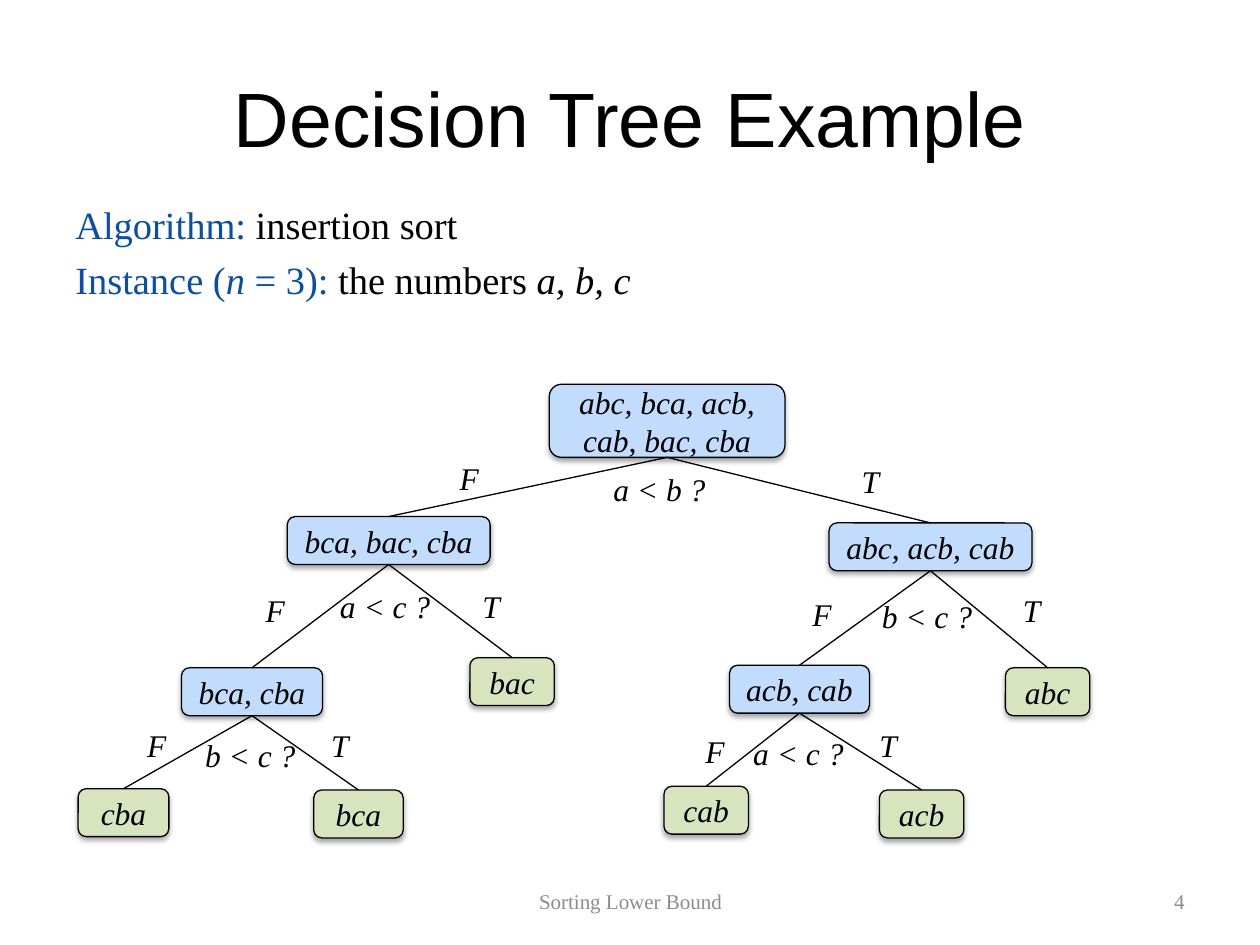
from dataclasses import dataclass
from lxml.etree import SubElement
from pptx import Presentation
from pptx.dml.color import RGBColor
from pptx.enum.shapes import MSO_CONNECTOR as Connector, MSO_SHAPE as Shape
from pptx.enum.text import MSO_ANCHOR as Anchor, MSO_AUTO_SIZE as AutoSize, PP_ALIGN as Align
from pptx.oxml.ns import qn
from pptx.util import Inches, Pt

BLACK, GREY, BLUE = "000000", "8C8C8C", "074FA8"
BRANCH_FILL, LEAF_FILL = "C1DCFD", "D7E4BD"
TOP, BOTTOM = 0, 2  # connection sites of a rounded rectangle


@dataclass
class Node:
    text: str
    at: tuple
    width: float
    height: float = 0.38
    question: tuple = None
    false_at: tuple = None
    true_at: tuple = None
    children: tuple = ()


def color(value):
    return RGBColor.from_string(value)


@dataclass
class TreePage:
    page: object
    font: str = "Times New Roman"
    size: int = 18
    line_width: float = 0.75

    def style(self, paragraph, size=None, fill=BLACK, italic=False, font=None):
        paragraph.font.name = font or self.font
        paragraph.font.size = Pt(size or self.size)
        paragraph.font.color.rgb = color(fill)
        paragraph.font.italic = italic

    def heading(self, text, left, top, width, height, align, **style):
        box = self.page.shapes.add_textbox(*map(Inches, (left, top, width, height)))
        frame = box.text_frame
        frame.word_wrap = True
        frame.vertical_anchor = Anchor.MIDDLE
        para = frame.paragraphs[0]
        para.text, para.alignment = text, align
        self.style(para, **style)

    def label(self, text, at, width):
        box = self.page.shapes.add_textbox(*map(Inches, (*at, width, 0.4)))
        box.text_frame.word_wrap = False
        box.text_frame.auto_size = AutoSize.SHAPE_TO_FIT_TEXT
        para = box.text_frame.paragraphs[0]
        para.text = text
        self.style(para, italic=True)

    def facts(self, lines, left, top, width, height):
        """Write lines made of (text, colour, italic) spans."""
        box = self.page.shapes.add_textbox(*map(Inches, (left, top, width, height)))
        frame = box.text_frame
        frame.word_wrap = False
        for index, spans in enumerate(lines):
            para = frame.add_paragraph() if index else frame.paragraphs[0]
            if index:
                para.space_before = Pt(5)
            self.style(para, size=22)
            for text, fill, italic in spans:
                span = para.add_run()
                span.text = text
                span.font.color.rgb = color(fill)
                span.font.italic = italic

    def add_shadow(self, shape):
        shape.shadow.inherit = False
        effects = shape._element.spPr.find(qn("a:effectLst"))
        shadow = SubElement(effects, qn("a:outerShdw"), blurRad=str(Pt(3.1)),
                            dist=str(Pt(1.8)), dir="5400000", rotWithShape="0")
        black = SubElement(shadow, qn("a:srgbClr"), val=BLACK)
        SubElement(black, qn("a:alpha"), val="35000")

    def node(self, node):
        shape = self.page.shapes.add_shape(
            Shape.ROUNDED_RECTANGLE, *map(Inches, (*node.at, node.width, node.height)))
        shape.fill.solid()
        shape.fill.fore_color.rgb = color(BRANCH_FILL if node.children else LEAF_FILL)
        shape.line.color.rgb = color(BLACK)
        shape.line.width = Pt(self.line_width)
        self.add_shadow(shape)
        frame = shape.text_frame
        frame.word_wrap = True
        frame.vertical_anchor = Anchor.MIDDLE
        frame.margin_left = frame.margin_right = Inches(0.05)
        para = frame.paragraphs[0]
        para.text, para.alignment = node.text, Align.CENTER
        self.style(para, italic=True)
        return shape

    def edge(self, parent, child):
        line = self.page.shapes.add_connector(Connector.STRAIGHT, 0, 0, 0, 0)
        line.begin_connect(parent, BOTTOM)
        line.end_connect(child, TOP)
        line.line.color.rgb = color(BLACK)
        line.line.width = Pt(self.line_width)
        SubElement(line._element.spPr, qn("a:effectLst"))

    def tree(self, node):
        """Draw a node with everything below it and return its shape."""
        shape = self.node(node)
        for child in node.children:
            self.edge(shape, self.tree(child))
        if node.children:
            self.label(*node.question, 1.03)
            self.label("F", node.false_at, 0.44)
            self.label("T", node.true_at, 0.42)
        return shape


LEFT_TREE = Node(
    "bca, bac, cba", (2.28, 4.1), 1.61, question=("a < c ?", (2.6, 4.61)),
    false_at=(2.01, 4.64), true_at=(3.73, 4.61), children=(
        Node("bca, cba", (1.44, 5.3), 1.12, question=("b < c ?", (1.53, 5.79)),
             false_at=(1.07, 5.71), true_at=(2.53, 5.71), children=(
                 Node("cba", (0.62, 6.26), 0.72),
                 Node("bca", (2.49, 6.27), 0.71))),
        Node("bac", (3.73, 5.22), 0.67)))

RIGHT_TREE = Node(
    "abc, acb, cab", (6.58, 4.15), 1.61, question=("b < c ?", (6.9, 4.69)),
    false_at=(6.35, 4.67), true_at=(8.02, 4.64), children=(
        Node("acb, cab", (5.79, 5.28), 1.11, question=("a < c ?", (5.88, 5.78)),
             false_at=(5.5, 5.76), true_at=(6.88, 5.71), children=(
                 Node("cab", (5.27, 6.24), 0.67),
                 Node("acb", (6.98, 6.27), 0.67))),
        Node("abc", (7.98, 5.3), 0.67)))

ROOT = Node(
    "abc, bca, acb, cab, bac, cba", (4.36, 3.05), 1.87, 0.58,
    question=("a < b ?", (4.77, 3.68)), false_at=(3.55, 3.59), true_at=(6.74, 3.62),
    children=(LEFT_TREE, RIGHT_TREE))

FACTS = [
    [("Algorithm:", BLUE, False), (" insertion sort", BLACK, False)],
    [("Instance (", BLUE, False), ("n ", BLUE, True), ("= 3):", BLUE, False),
     (" the numbers ", BLACK, False), ("a, b, c", BLACK, True)],
]


def main():
    deck = Presentation()
    deck.slide_width, deck.slide_height = Inches(10), Inches(7.5)
    page = TreePage(deck.slides.add_slide(deck.slide_layouts[6]))
    page.heading("Decision Tree Example", 0.5, 0.3, 9, 1.25, Align.CENTER,
                 size=44, font="Arial")
    page.facts(FACTS, 0.5, 1.55, 4.74, 0.92)
    page.tree(ROOT)
    page.heading("Sorting Lower Bound", 3.42, 6.95, 3.17, 0.4, Align.CENTER,
                 size=12, fill=GREY)
    page.heading("4", 7.17, 6.95, 2.33, 0.4, Align.RIGHT, size=12, fill=GREY)
    deck.save("out.pptx")


if __name__ == "__main__":
    main()
